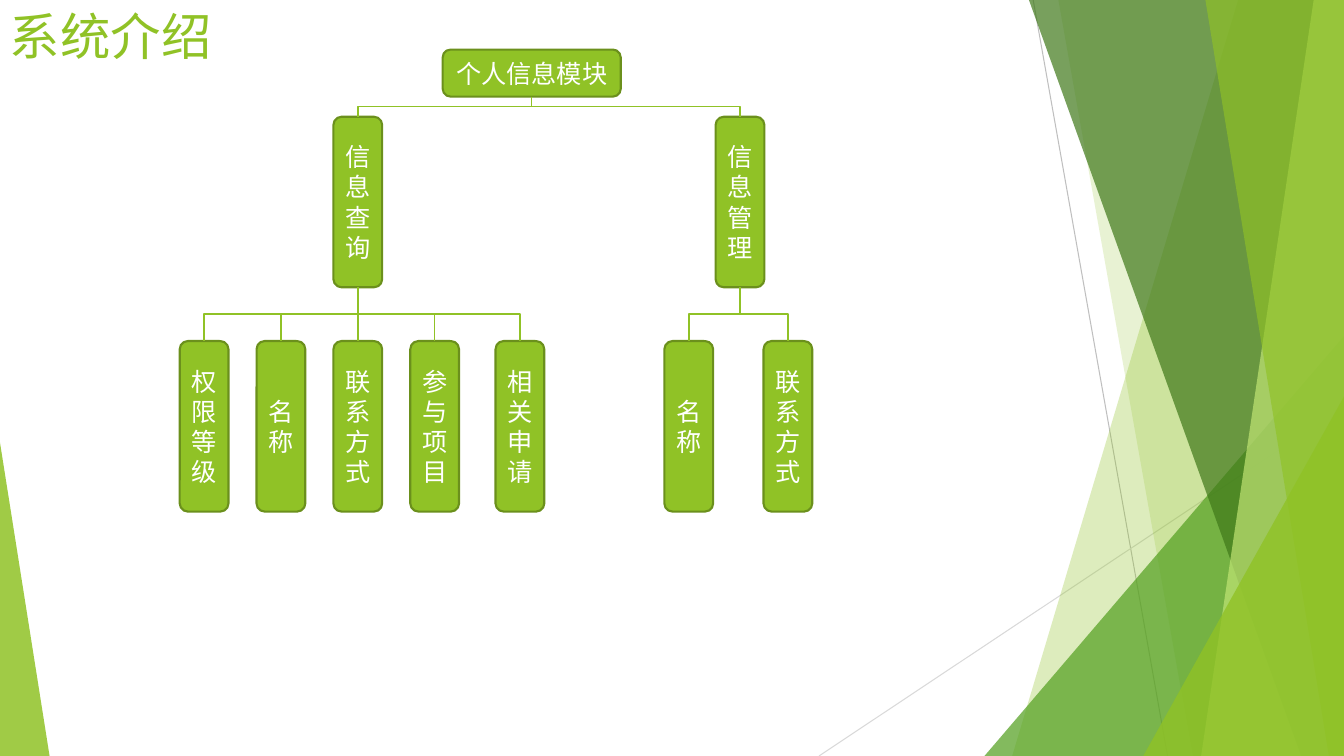
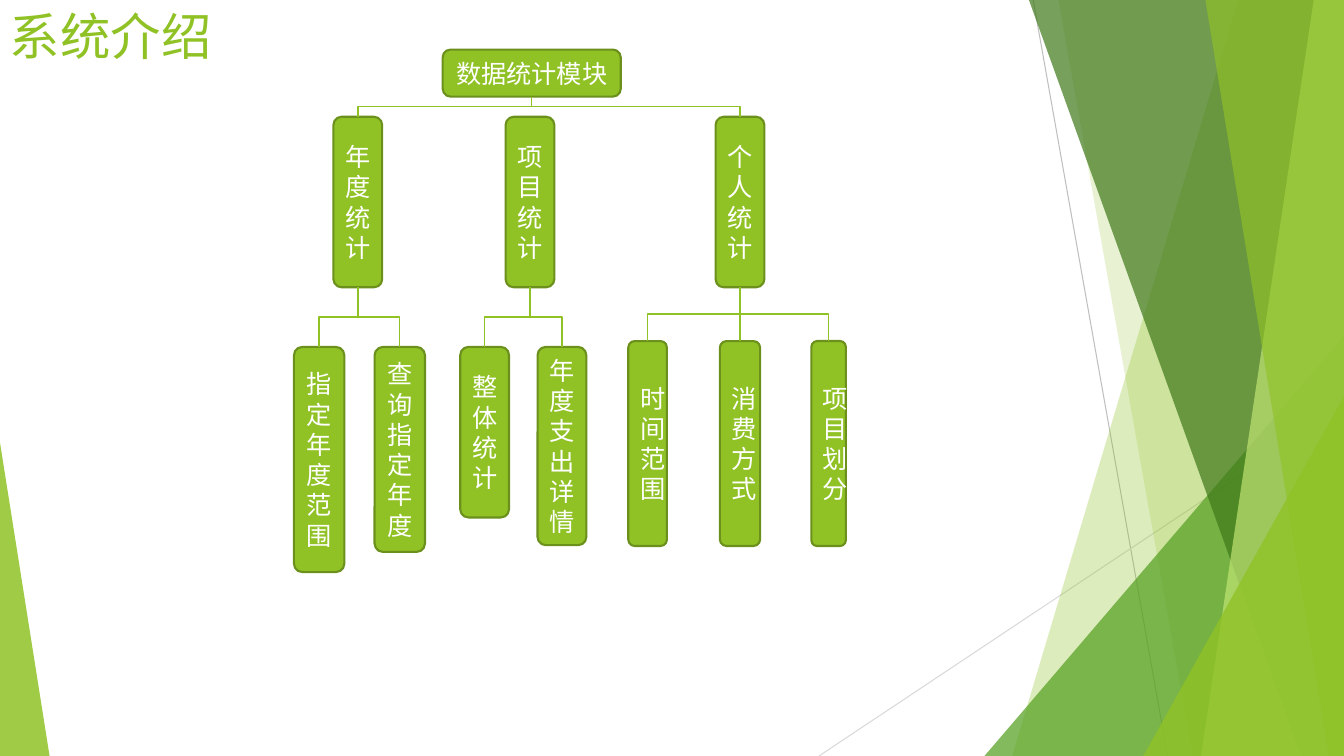
"""Two slides of module trees on a green faceted background."""
from lxml.etree import SubElement as Sub
from pptx import Presentation as Deck
from pptx.dml.color import RGBColor as RGB
from pptx.enum.shapes import MSO_CONNECTOR as Link, MSO_SHAPE as Form
from pptx.enum.text import MSO_ANCHOR as Anchor, PP_ALIGN as Align
from pptx.oxml.ns import qn
from pptx.util import Emu, Inches, Pt

COLS, ROWS = 160, 90
UNIT = Inches(1) / 12
FONT = "Cabin"
HUES = {
    "lime": "90C226", "edge": "6B901C", "leaf": "54A021", "pine": "3F7819",
    "pale": "C0E474", "grey": "BFBFBF", "mist": "D9D9D9", "white": "FFFFFF",
}
TITLE = "系统介绍"
ROOT = (52.7, 5.9, 21.2, 5.6)
MID_Y, LEAF_Y, LOW_Y = 13.9, 40.6, 41.3
BOX_W, BOX_H, TALL = 5.8, 20.3, 24.4
LEFT, MID, RIGHT = 39.7, 60.2, 85.2
PITCH = 9.15

FACETS = [
    ("band", (147.4, 120.5), "lime", 30),
    ("band", (126, 142), "lime", 20),
    ("wedge", (117.2, 40, 42.8, 50, 1), "leaf", 72),
    ("band", (122.5, 154.9), "pine", 70),
    ("band", (156.4, 143), "pale", 70),
    ("band", (143.5, 158.2), "lime", 65),
    ("wedge", (136.1, 47.2, 23.9, 42.8, 1), "lime", 80),
    ("wedge", (0, 52.7, 5.9, 37.3, 0), "lime", 85),
]

QUERY = ["权限等级", "名称", "联系方式", "参与项目"]
TREES = [
    ("个人信息模块", [
        ("信息查询", LEFT, True, LEAF_Y,
         [(name, 21.4 + i * PITCH, BOX_W, BOX_H) for i, name in enumerate(QUERY)]
         + [("相关申请", 59, BOX_W, BOX_H)]),
        ("信息管理", RIGHT, True, LEAF_Y,
         [("名称", 79.1, BOX_W, BOX_H), ("联系方式", 90.9, BOX_W, BOX_H)]),
    ]),
    ("数据统计模块", [
        ("年度统计", LEFT, True, LOW_Y,
         [("指定年度范围", 35, 6, 26.8), ("查询指定年度", 44.6, 6, TALL)]),
        ("项目统计", MID, False, LOW_Y,
         [("整体统计", 54.8, BOX_W, BOX_H), ("年度支出详情", 64, BOX_W, 23.6)]),
        ("个人统计", RIGHT, True, LEAF_Y,
         [("时间范围", 74.8, 4.6, TALL), ("消费方式", 85.7, 4.8, TALL),
          ("项目划分", 96.6, 4.1, TALL)]),
    ]),
]


def grid(*cells):
    """Turn grid cells into lengths."""
    return [Emu(round(cell * UNIT)) for cell in cells]


def hue(name):
    """Look up a colour by name."""
    return RGB.from_string(HUES[name])


def tint(shape, name, alpha):
    """Give a shape a see-through fill and no outline."""
    shape.shadow.inherit = False
    shape.fill.solid()
    shape.fill.fore_color.rgb = hue(name)
    shape.line.fill.background()
    tone = shape.element.spPr.find(f"{qn('a:solidFill')}/{qn('a:srgbClr')}")
    Sub(tone, qn("a:alpha"), val=str(alpha * 1000))


def band(slide, top, foot):
    """Draw a slanted band that reaches the right edge."""
    dots = [grid(*dot) for dot in ((top, 0), (COLS, 0), (COLS, ROWS), (foot, ROWS))]
    pen = slide.shapes.build_freeform(*dots[0])
    pen.add_line_segments(dots[1:])
    return pen.convert_to_shape()


def wedge(slide, x, y, w, h, peak):
    """Draw a triangle with its peak at a share of its width."""
    shape = slide.shapes.add_shape(Form.ISOSCELES_TRIANGLE, *grid(x, y, w, h))
    shape.adjustments[0] = peak
    return shape


def rule(slide, kind, ends, name, width):
    """Draw a connector without a shadow."""
    line = slide.shapes.add_connector(kind, *grid(*ends))
    line.line.color.rgb = hue(name)
    line.line.width = Pt(width)
    Sub(line.element.spPr, qn("a:effectLst"))
    return line


def elbow(slide, x1, y1, x2, y2):
    """Join two points by a line that goes down, across and down."""
    cx, cy = (x1 + x2) / 2, (y1 + y2) / 2
    half, rise = (y2 - y1) / 2, abs(x2 - x1) / 2
    turn = 90
    if x2 > x1:
        half, turn = -half, 270
    ends = (cx - half, cy - rise, cx + half, cy + rise)
    line = rule(slide, Link.ELBOW, ends, "lime", 1)
    line.element.spPr.find(qn("a:xfrm")).set("rot", str(turn * 60000))


def write(shape, text, size, name, align, anchor):
    """Put styled text into a shape."""
    frame = shape.text_frame
    frame.text = text
    frame.word_wrap = True
    frame.vertical_anchor = anchor
    para = frame.paragraphs[0]
    para.alignment = align
    font = para.runs[0].font
    font.name, font.size = FONT, Pt(size)
    font.color.rgb = hue(name)


def node(slide, text, x, y, w, h):
    """Draw a tree box and return its top and bottom middle points."""
    box = slide.shapes.add_shape(Form.FLOWCHART_ALTERNATE_PROCESS, *grid(x, y, w, h))
    box.shadow.inherit = False
    box.fill.solid()
    box.fill.fore_color.rgb = hue("lime")
    box.line.color.rgb = hue("edge")
    box.line.width = Pt(1.5)
    write(box, text, 18, "white", Align.CENTER, Anchor.MIDDLE)
    return (x + w / 2, y), (x + w / 2, y + h)


def tree(slide, root, stems):
    """Draw a root, its stems and their leaves."""
    base = node(slide, root, *ROOT)[1]
    for name, x, tied, y, leaves in stems:
        top, foot = node(slide, name, x, MID_Y, BOX_W, BOX_H)
        if tied:
            elbow(slide, *base, *top)
        for leaf, left, w, h in leaves:
            tip = node(slide, leaf, left, y, w, h)[0]
            elbow(slide, *foot, *tip)


def frame(deck):
    """Add a slide with the shared background and title."""
    slide = deck.slides.add_slide(deck.slide_layouts[6])
    rule(slide, Link.STRAIGHT, (123, 0, 139, ROWS), "grey", 0.75)
    rule(slide, Link.STRAIGHT, (COLS, 48.4, 97.5, ROWS), "mist", 0.75)
    draw = {"band": band, "wedge": wedge}
    for kind, place, name, alpha in FACETS:
        tint(draw[kind](slide, *place), name, alpha)
    head = slide.shapes.add_textbox(*grid(0, 0, 112.8, 17.3))
    write(head, TITLE, 36, "lime", Align.LEFT, Anchor.TOP)
    return slide


def main():
    """Build and save the deck."""
    deck = Deck()
    deck.slide_width, deck.slide_height = grid(COLS, ROWS)
    for root, stems in TREES:
        tree(frame(deck), root, stems)
    deck.save("out.pptx")


if __name__ == "__main__":
    main()
